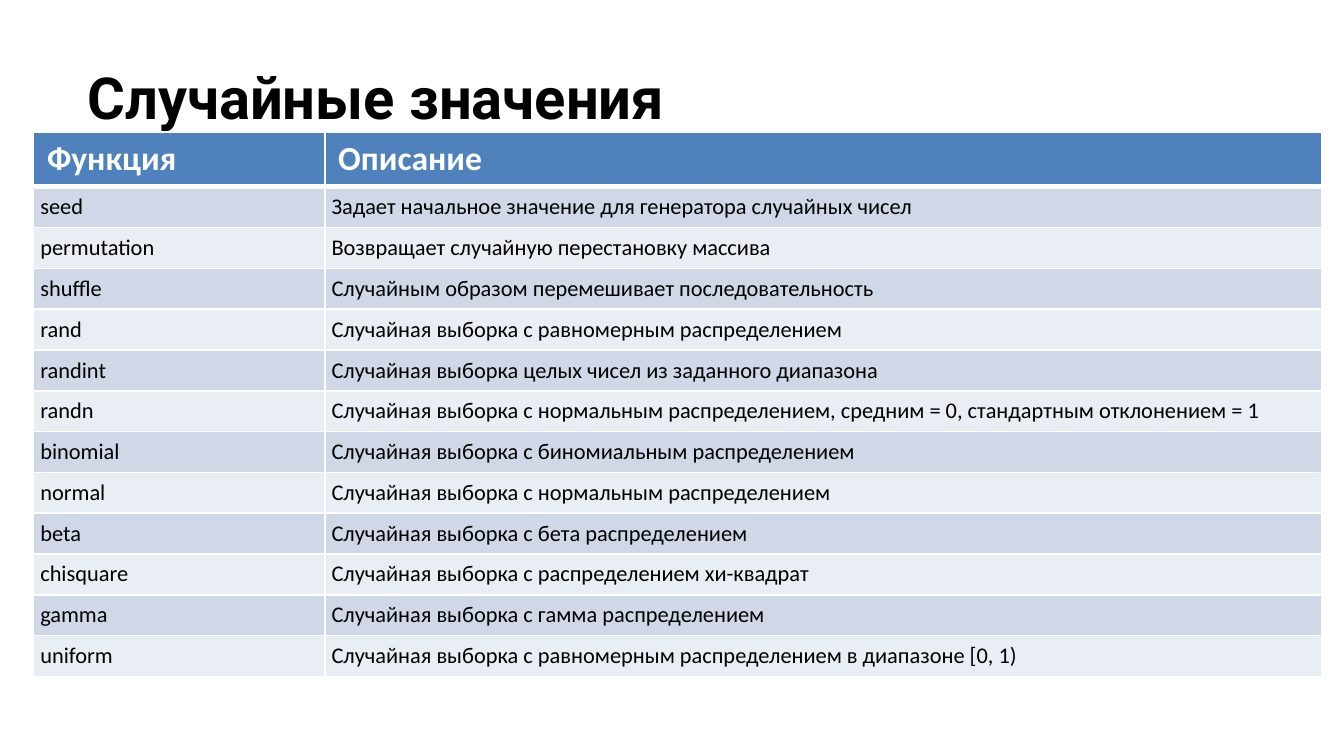
from dataclasses import dataclass

from lxml.etree import SubElement
from pptx import Presentation
from pptx.dml.color import RGBColor as Rgb
from pptx.enum.text import MSO_ANCHOR as Anchor, MSO_AUTO_SIZE as AutoSize, PP_ALIGN as Align
from pptx.oxml.ns import qn
from pptx.util import Pt


@dataclass(frozen=True)
class Theme:
    title_font: str = "Roboto"
    table_font: str = "Calibri"
    title_size: float = 31
    header_size: float = 18
    body_size: float = 12
    text: str = "000000"
    white: str = "FFFFFF"
    header_fill: str = "4F81BD"
    bands: tuple = ("D0D8E8", "E9EDF4")
    rule: float = 1
    header_rule: float = 3


THEME = Theme()
TITLE_ONLY = 5
HEADER = ("Функция", "Описание")
FUNCTIONS = [
    ("seed", "Задает начальное значение для генератора случайных чисел"),
    ("permutation", "Возвращает случайную перестановку массива"),
    ("shuffle", "Случайным образом перемешивает последовательность"),
    ("rand", "Случайная выборка с равномерным распределением"),
    ("randint", "Случайная выборка целых чисел из заданного диапазона"),
    ("randn", "Случайная выборка с нормальным распределением, средним = 0, стандартным отклонением = 1"),
    ("binomial", "Случайная выборка с биномиальным распределением"),
    ("normal", "Случайная выборка с нормальным распределением"),
    ("beta", "Случайная выборка с бета распределением"),
    ("chisquare", "Случайная выборка с распределением хи-квадрат"),
    ("gamma", "Случайная выборка с гамма распределением"),
    ("uniform", "Случайная выборка с равномерным распределением в диапазоне [0, 1)"),
]


def add_run(paragraph, text, font, size, color, bold=False):
    run = paragraph.add_run()
    run.text = text
    run.font.name = font
    run.font.size = Pt(size)
    run.font.bold = bold
    run.font.color.rgb = Rgb.from_string(color)


def set_margins(holder, points):
    """Set the side margins of a cell or text frame."""
    holder.margin_left = holder.margin_right = Pt(points)


def add_title(slide, text):
    title = slide.shapes.title
    title.left, title.top, title.width, title.height = Pt(39.6), Pt(25.9), Pt(671), Pt(112.3)
    frame = title.text_frame
    frame.word_wrap = True
    frame.auto_size = AutoSize.NONE
    frame.vertical_anchor = Anchor.TOP
    set_margins(frame, 7.2)
    frame.margin_top = frame.margin_bottom = Pt(7.2)
    paragraph = frame.paragraphs[0]
    paragraph.alignment = Align.LEFT
    add_run(paragraph, text, THEME.title_font, THEME.title_size, THEME.text, bold=True)


def set_borders(cell, top, bottom):
    """Draw white cell edges; call before the fill, which must follow them in the XML."""
    properties = cell._tc.get_or_add_tcPr()
    widths = {"a:lnL": THEME.rule, "a:lnR": THEME.rule, "a:lnT": top, "a:lnB": bottom}
    for tag, width in widths.items():
        line = SubElement(properties, qn(tag), w=str(Pt(width)))
        fill = SubElement(line, qn("a:solidFill"))
        SubElement(fill, qn("a:srgbClr"), val=THEME.white)


def fill_cell(cell, text, row):
    is_header = row == 0
    set_margins(cell, 7.2 if is_header else 3.6)
    cell.margin_top = cell.margin_bottom = Pt(3.6)
    cell.vertical_anchor = Anchor.TOP
    set_borders(
        cell,
        top=THEME.header_rule if row == 1 else THEME.rule,
        bottom=THEME.header_rule if is_header else THEME.rule,
    )
    cell.fill.solid()
    background = THEME.header_fill if is_header else THEME.bands[(row - 1) % 2]
    cell.fill.fore_color.rgb = Rgb.from_string(background)
    add_run(
        cell.text_frame.paragraphs[0],
        text,
        THEME.table_font,
        THEME.header_size if is_header else THEME.body_size,
        THEME.white if is_header else THEME.text,
        bold=is_header,
    )


def add_function_table(slide):
    rows = [HEADER, *FUNCTIONS]
    frame = slide.shapes.add_table(len(rows), len(HEADER), Pt(18), Pt(70.6), Pt(690), Pt(292.3))
    table = frame.table
    for column, width in zip(table.columns, (156, 534)):
        column.width = Pt(width)
    for index, texts in enumerate(rows):
        table.rows[index].height = Pt(17.3 if index else 29.5)
        for column, text in enumerate(texts):
            fill_cell(table.cell(index, column), text, index)
    frame.height = Pt(292.3)


def main():
    deck = Presentation()
    deck.slide_width, deck.slide_height = Pt(720), Pt(405)
    slide = deck.slides.add_slide(deck.slide_layouts[TITLE_ONLY])
    add_title(slide, "Случайные значения")
    add_function_table(slide)
    deck.save("out.pptx")


if __name__ == "__main__":
    main()
